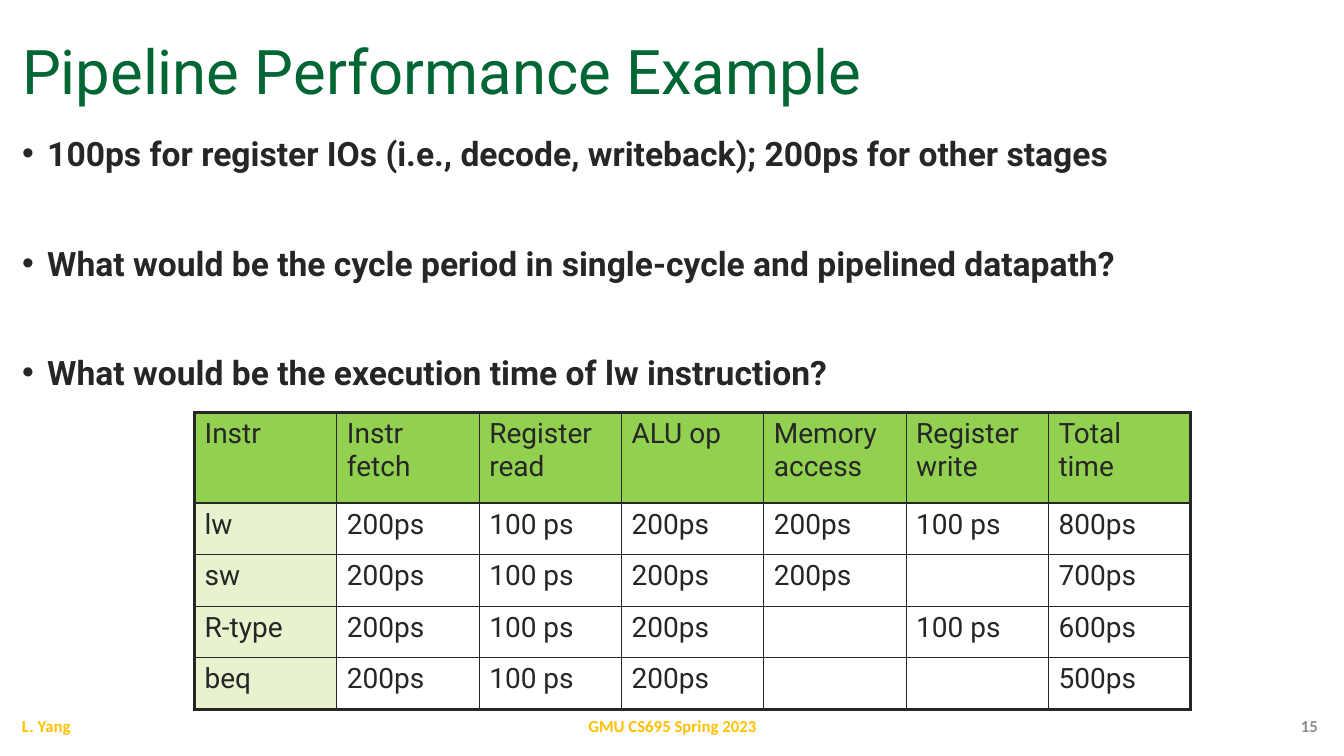
"""Build the pipeline performance example slide."""
from dataclasses import dataclass

from lxml import etree
from pptx import Presentation
from pptx.dml.color import RGBColor
from pptx.enum.text import MSO_ANCHOR, PP_ALIGN
from pptx.oxml.ns import qn
from pptx.util import Inches, Pt

TOP, MIDDLE, BOTTOM = MSO_ANCHOR.TOP, MSO_ANCHOR.MIDDLE, MSO_ANCHOR.BOTTOM
LEFT, CENTER, RIGHT = PP_ALIGN.LEFT, PP_ALIGN.CENTER, PP_ALIGN.RIGHT


@dataclass(frozen=True)
class Theme:
    text_font: str = "Roboto"
    footer_font: str = "Calibri"
    title_color: str = "006633"
    ink: str = "262626"
    gold: str = "FFC000"
    gray: str = "8C8C8C"
    header_fill: str = "92D050"
    instr_fill: str = "E8F2CF"
    title_size: float = 44
    body_size: float = 24
    table_size: float = 20
    footer_size: float = 12
    outer_line: float = 2.25
    header_line: float = 1.5
    inner_line: float = 1


theme = Theme()


def add_text_frame(left, top, width, height, anchor):
    frame = slide.shapes.add_textbox(
        Inches(left), Inches(top), Inches(width), Inches(height)).text_frame
    frame.word_wrap = True
    frame.vertical_anchor = anchor
    return frame


def add_run(paragraph, text, size, color, font=theme.text_font, bold=False):
    run = paragraph.add_run()
    run.text = text
    run.font.name = font
    run.font.size = Pt(size)
    run.font.bold = bold
    run.font.color.rgb = RGBColor.from_string(color)


prs = Presentation()
prs.slide_width, prs.slide_height = Inches(13.33), Inches(7.5)
slide = prs.slides.add_slide(prs.slide_layouts[6])

title = add_text_frame(0.12, 0.17, 13.05, 0.95, BOTTOM).paragraphs[0]
title.line_spacing = 0.9
add_run(title, "Pipeline Performance Example", theme.title_size, theme.title_color)

questions = [
    "100ps for register IOs (i.e., decode, writeback); 200ps for other stages",
    "What would be the cycle period in single-cycle and pipelined datapath?",
    "What would be the execution time of lw instruction?",
]
body = add_text_frame(0.12, 1.27, 13.05, 5.63, TOP)
for index, question in enumerate(questions):
    paragraph = body.add_paragraph() if index else body.paragraphs[0]
    if index:
        paragraph.space_before = Pt(49.4)
    properties = paragraph._p.get_or_add_pPr()
    properties.set("marL", str(Inches(0.25)))
    properties.set("indent", str(-Inches(0.25)))
    etree.SubElement(properties, qn("a:buFont"), typeface="Arial")
    etree.SubElement(properties, qn("a:buChar"), char="•")
    add_run(paragraph, question, theme.body_size, theme.ink, bold=True)

timings = [
    ["Instr", "Instr fetch", "Register read", "ALU op", "Memory access",
     "Register write", "Total time"],
    ["lw", "200ps", "100 ps", "200ps", "200ps", "100 ps", "800ps"],
    ["sw", "200ps", "100 ps", "200ps", "200ps", "", "700ps"],
    ["R-type", "200ps", "100 ps", "200ps", "", "100 ps", "600ps"],
    ["beq", "200ps", "100 ps", "200ps", "", "", "500ps"],
]
last_row, last_column = len(timings) - 1, len(timings[0]) - 1
timing_table = slide.shapes.add_table(
    len(timings), len(timings[0]),
    Inches(1.93), Inches(4.09), Inches(9.88), Inches(2.95)).table
timing_table.horz_banding = False
timing_table.first_row = False
for column in timing_table.columns:
    column.width = Inches(9.88 / len(timings[0]))
for r, row in enumerate(timing_table.rows):
    row.height = Inches((2.95 - 0.9) / last_row if r else 0.9)

row_lines = [theme.outer_line, theme.header_line,
             *[theme.inner_line] * (last_row - 1), theme.outer_line]
column_lines = [theme.outer_line, *[theme.inner_line] * last_column, theme.outer_line]
for r, values in enumerate(timings):
    for c, value in enumerate(values):
        cell = timing_table.cell(r, c)
        cell_properties = cell._tc.get_or_add_tcPr()
        sides = {"a:lnL": column_lines[c], "a:lnR": column_lines[c + 1],
                 "a:lnT": row_lines[r], "a:lnB": row_lines[r + 1]}
        for side, width in sides.items():
            border = etree.SubElement(cell_properties, qn(side), w=str(Pt(width)))
            border_fill = etree.SubElement(border, qn("a:solidFill"))
            etree.SubElement(border_fill, qn("a:srgbClr"), val=theme.ink)
        if r == 0 or c == 0:
            cell.fill.solid()
            cell.fill.fore_color.rgb = RGBColor.from_string(
                theme.instr_fill if r else theme.header_fill)
        else:
            cell.fill.background()
        if value:
            add_run(cell.text_frame.paragraphs[0], value, theme.table_size, theme.ink)

footers = [
    ("L. Yang", 0.12, 3, LEFT, theme.gold),
    ("GMU CS695 Spring 2023", 4.42, 4.5, CENTER, theme.gold),
    ("15", 10.17, 3, RIGHT, theme.gray),
]
for text, left, width, alignment, color in footers:
    footer = add_text_frame(left, 7, width, 0.4, MIDDLE).paragraphs[0]
    footer.alignment = alignment
    add_run(footer, text, theme.footer_size, color, theme.footer_font, bold=True)

prs.save("out.pptx")
